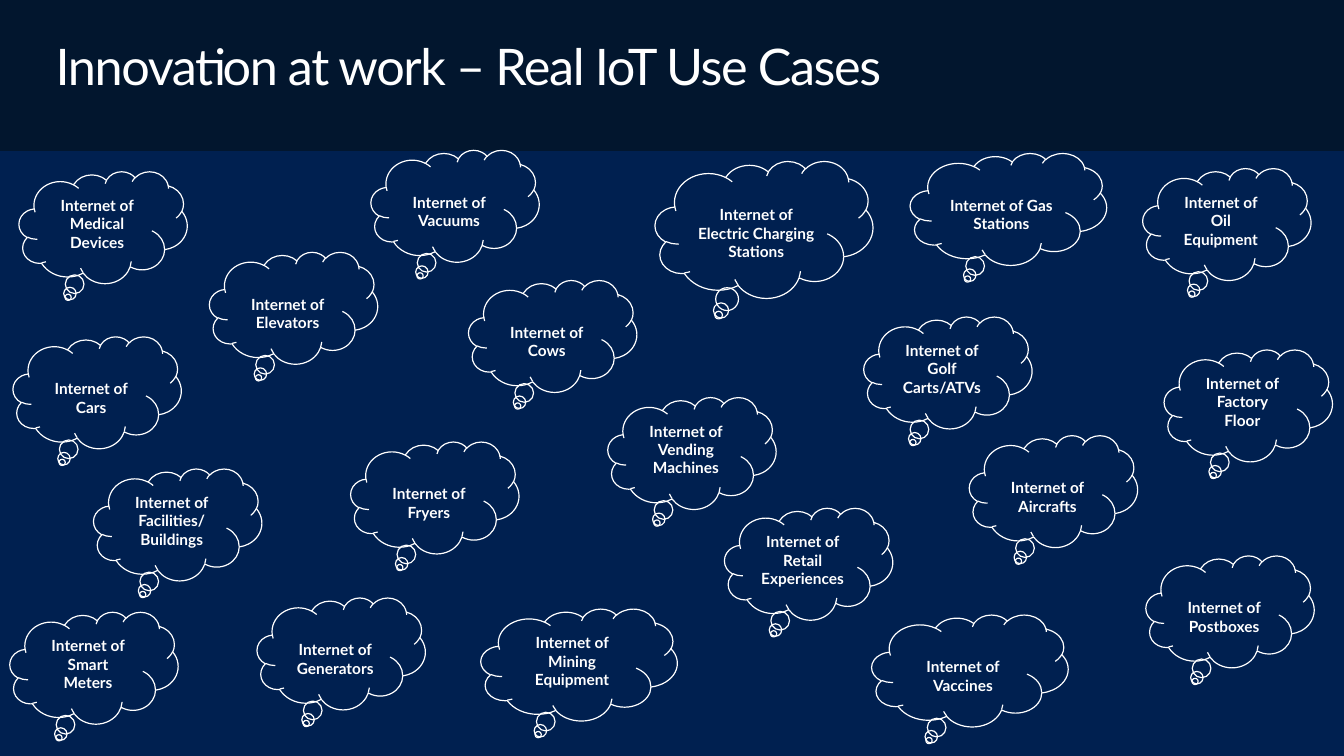
from dataclasses import dataclass

import pptx
import pptx.dml.color
import pptx.enum.dml
import pptx.enum.shapes
import pptx.enum.text
import pptx.util

Cm = pptx.util.Cm
Pt = pptx.util.Pt
Color = pptx.dml.color.RGBColor


@dataclass(frozen=True)
class Theme:
    font: str = "Lato"
    ink: Color = Color(0xFF, 0xFF, 0xFF)
    field: Color = Color(0x00, 0x20, 0x50)
    header: Color = Color(0x02, 0x16, 0x2E)
    title_size: int = 36
    cloud_size: int = 11
    outline: float = 0.85


@dataclass(frozen=True)
class Box:
    left: float
    top: float
    width: float
    height: float

    def inner(self, left, top, width, height):
        return Box(self.left + left, self.top + top, width, height)

    def place(self):
        return [Cm(side) for side in (self.left, self.top, self.width, self.height)]


THEME = Theme()
PAGE = Box(0, 0, 33.87, 19.05)
HEADER_HEIGHT = PAGE.height * 0.2
REGULAR = (4.24, 2.82)
WIDE = (4.95, 2.82)
LARGE = (5.49, 3.45)

CLOUDS = [
    ("Smart Meters", 0.25, 11.61, REGULAR),
    ("Cars", 0.33, 4.67, REGULAR),
    ("Facilities/ Buildings", 2.36, 8.0, REGULAR),
    ("Generators", 6.48, 11.25, REGULAR),
    ("Aircrafts", 24.43, 7.16, REGULAR),
    ("Mining Equipment", 12.12, 11.53, WIDE),
    ("Oil Equipment", 28.8, 0.43, REGULAR),
    ("Cows", 11.81, 3.25, REGULAR),
    ("Elevators", 5.28, 2.54, REGULAR),
    ("Fryers", 8.84, 7.32, REGULAR),
    ("Vending Machines", 15.32, 6.2, REGULAR),
    ("Factory Floor", 29.34, 5.0, REGULAR),
    ("Retail Experiences", 18.26, 8.99, REGULAR),
    ("Golf Carts/ATVs", 21.77, 4.17, REGULAR),
    ("Gas Stations", 22.94, 0.05, WIDE),
    ("Medical Devices", 0.48, 0.51, REGULAR),
    ("Vacuums", 9.35, -0.03, REGULAR),
    ("Electric Charging Stations", 16.51, 0.25, LARGE),
    ("Vaccines", 21.97, 11.68, WIDE),
    ("Postboxes", 28.88, 10.19, REGULAR),
]


def write(para, text, size, bold):
    span = para.add_run()
    span.text = text
    span.font.name = THEME.font
    span.font.size = Pt(size)
    span.font.bold = bold
    span.font.color.rgb = THEME.ink
    return span


def set_insets(frame, side, edge):
    frame.margin_left = frame.margin_right = Cm(side)
    frame.margin_top = frame.margin_bottom = Cm(edge)
    frame.word_wrap = True


def paint_background(page):
    fill = page.background.fill
    fill.gradient()
    fill.gradient_angle = 90
    for stop, color in zip(fill.gradient_stops, (THEME.field, THEME.header)):
        stop.position = 0.8
        stop.color.rgb = color


def add_title(page, box, text):
    title = page.shapes.title
    title.left, title.top, title.width, title.height = box.inner(0.99, 0.81, 31.88, 2.49).place()
    frame = title.text_frame
    set_insets(frame, 0.41, 0.25)
    frame.auto_size = pptx.enum.text.MSO_AUTO_SIZE.NONE
    frame.vertical_anchor = pptx.enum.text.MSO_ANCHOR.TOP
    para = frame.paragraphs[0]
    para.alignment = pptx.enum.text.PP_ALIGN.LEFT
    para.line_spacing = 0.9
    span = write(para, text, THEME.title_size, False)
    span.font._element.set("spc", "-100")


def add_cloud(page, box, subject):
    cloud = page.shapes.add_shape(pptx.enum.shapes.MSO_SHAPE.CLOUD_CALLOUT, *box.place())
    cloud.shadow.inherit = False
    cloud.fill.background()
    cloud.line.color.rgb = THEME.ink
    cloud.line.width = Pt(THEME.outline)
    frame = cloud.text_frame
    set_insets(frame, 0.25, 0.25)
    frame.vertical_anchor = pptx.enum.text.MSO_ANCHOR.BOTTOM
    para = frame.paragraphs[0]
    para.alignment = pptx.enum.text.PP_ALIGN.CENTER
    write(para, f"Internet of {subject}", THEME.cloud_size, True)


def add_cloud_field(page, box):
    for subject, left, top, size in CLOUDS:
        add_cloud(page, box.inner(left, top, *size), subject)


def main():
    deck = pptx.Presentation()
    deck.slide_width = Cm(PAGE.width)
    deck.slide_height = Cm(PAGE.height)
    page = deck.slides.add_slide(deck.slide_layouts.get_by_name("Title Only"))
    paint_background(page)
    add_title(page, PAGE.inner(0, 0, PAGE.width, HEADER_HEIGHT),
              "Innovation at work – Real IoT Use Cases")
    add_cloud_field(page, PAGE.inner(0, HEADER_HEIGHT, PAGE.width, PAGE.height - HEADER_HEIGHT))
    deck.save("out.pptx")


if __name__ == "__main__":
    main()
